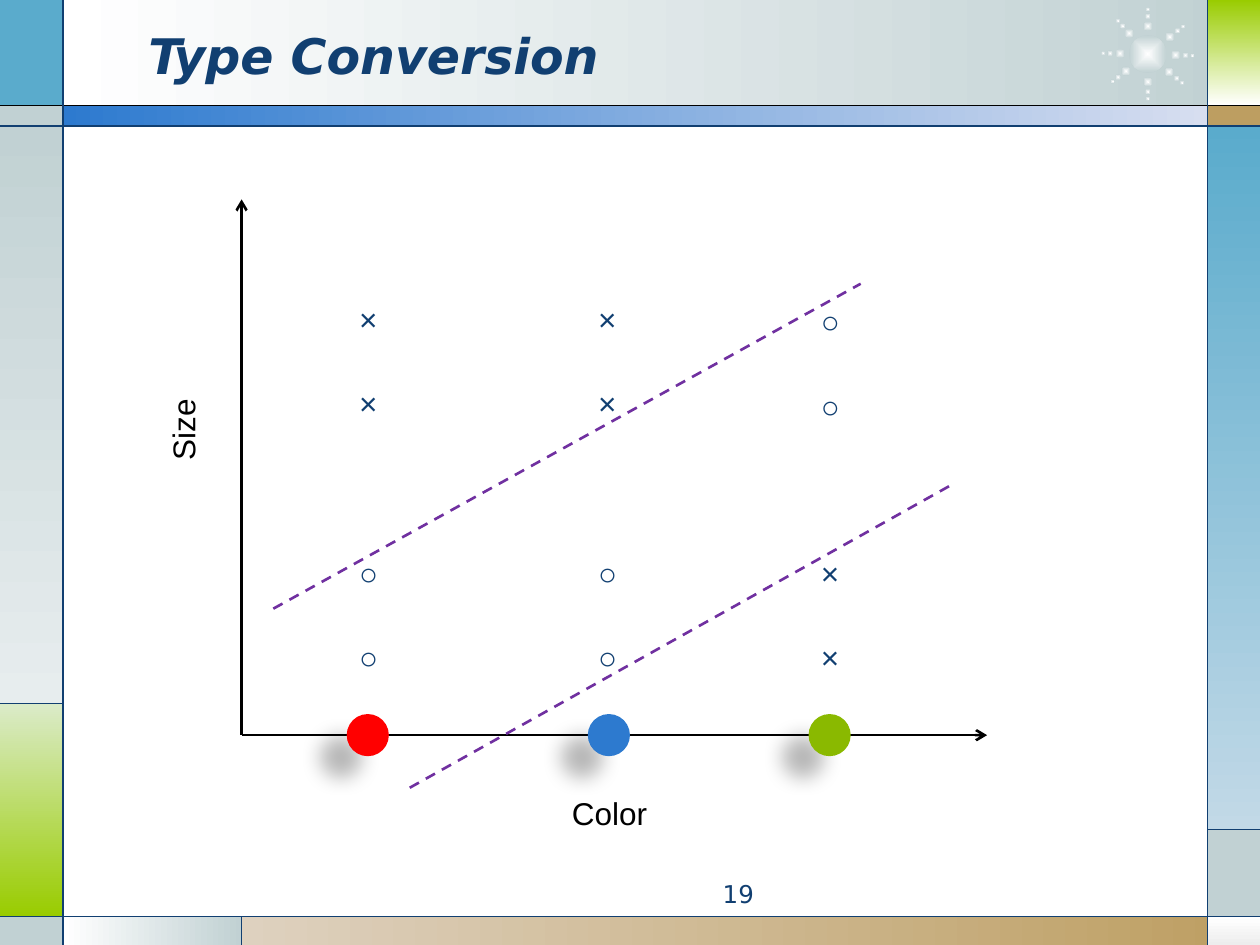
from dataclasses import dataclass
from math import cos, radians, sin

from pptx import Presentation
from pptx.dml.color import RGBColor
from pptx.enum.dml import MSO_LINE
from pptx.enum.shapes import MSO_CONNECTOR, MSO_SHAPE
from pptx.enum.text import MSO_ANCHOR, MSO_AUTO_SIZE, PP_ALIGN
from pptx.oxml import parse_xml
from pptx.oxml.ns import nsdecls, qn
from pptx.util import Cm, Pt

RECT, OVAL = MSO_SHAPE.RECTANGLE, MSO_SHAPE.OVAL
STRAIGHT, DASH = MSO_CONNECTOR.STRAIGHT, MSO_LINE.DASH
RIGHT, MIDDLE, TOP = PP_ALIGN.RIGHT, MSO_ANCHOR.MIDDLE, MSO_ANCHOR.TOP
GROW, FIXED = MSO_AUTO_SIZE.SHAPE_TO_FIT_TEXT, MSO_AUTO_SIZE.NONE

NAVY, BLACK, WHITE = "113F71", "000000", "FFFFFF"
MIST, SKY, LIME, TAN, PURPLE = "C1D1D3", "5AABCC", "99CC00", "BD9E61", "7030A0"
SANS, ARIAL = "DejaVu Sans", "Arial"
ACROSS, DOWN = 0, 270  # gradient angles

# Edges of the frame, in cm
W, H = 25.4, 19.05
X1, X2, X3 = 1.27, 4.87, 24.34
Y1, Y2, Y3, Y4, Y5 = 2.12, 2.54, 14.18, 16.72, 18.47


@dataclass
class Panel:
    x1: float
    y1: float
    x2: float
    y2: float
    color: str
    end_color: str = ""
    angle: int = ACROSS


@dataclass
class Line:
    x1: float
    y1: float
    x2: float
    y2: float
    color: str = NAVY
    width: float = 0.75
    dashed: bool = False
    arrow: bool = False


@dataclass
class Column:
    ball_x: float
    mark_x: float
    color: str
    upper: str
    lower: str
    drop: float = 0


PANELS = [
    Panel(X1, 0, 24.82, Y1, WHITE, MIST),
    Panel(0, 0, X1, Y1, SKY),
    Panel(0, Y1, X1, Y2, MIST),
    Panel(0, Y2, X1, Y3, MIST, "E7EDEE", DOWN),
    Panel(0, Y3, X1, Y5, "DBEBC9", LIME, DOWN),
    Panel(0, Y5, X1, H, MIST),
    Panel(X1, Y5, X2, H, WHITE, MIST),
    Panel(X2, Y5, W, H, "DED1BF", TAN),
    Panel(X3, Y5, W, H, WHITE, "EDEDED", DOWN),
    Panel(X3, Y4, W, Y5, MIST),
    Panel(X3, Y2, W, Y4, SKY, "C2D9E7", DOWN),
    Panel(X3, Y1, W, Y2, TAN),
    Panel(X3, 0, W, Y1, LIME, WHITE, DOWN),
    Panel(X1, Y1, X3, Y2, "2D7ACF", "D7DEF0"),
]
FRAME_LINES = [
    Line(0, Y1, W, Y1, BLACK),
    Line(0, Y2, W, Y2),
    Line(0, Y5, W, Y5),
    Line(X1, 0, X1, H),
    Line(X3, 0, X3, H),
    Line(X1, Y3, 0, Y3),
    Line(X2, Y5, X2, H),
    Line(X3, Y4, W, Y4),
]
AXIS_Y = 14.82
AXES = [
    Line(X2, AXIS_Y, 19.9, AXIS_Y, BLACK, 1.5, arrow=True),
    Line(X2, AXIS_Y, X2, 4.02, BLACK, 1.5, arrow=True),
]
BOUNDARIES = [
    Line(5.51, 12.27, 17.35, 5.72, PURPLE, 1.5, dashed=True),
    Line(8.26, 15.88, 19.26, 9.73, PURPLE, 1.5, dashed=True),
]
COLUMNS = [
    Column(6.99, 6.99, "FF0000", "×", "○"),
    Column(11.85, 11.81, "2D7ACF", "×", "○"),
    Column(16.3, 16.3, "8AB900", "○", "×", 0.05),
]
UPPER_ROWS, LOWER_ROWS = (5.92, 7.62), (11.05, 12.73)
BALL = 0.85

# Star ornament: dots along arms around a core
STAR_X, STAR_Y, CORE = 23.14, 1.09, 0.76
ARMS = (2, 40, 90, 142, 181, 228, 270, 322)
ARM_DOTS = ((0.56, 0.19), (0.76, 0.12), (0.9, 0.09))  # distance, diameter


def rgb(color: str) -> RGBColor:
    return RGBColor.from_string(color)


def add_filled(s, kind, x, y, w, h, color, end_color="", angle=ACROSS):
    sp = s.shapes.add_shape(kind, Cm(x), Cm(y), Cm(w), Cm(h))
    sp.shadow.inherit = False
    sp.line.fill.background()
    if end_color:
        sp.fill.gradient()
        sp.fill.gradient_angle = angle
        for stop, c in zip(sp.fill.gradient_stops, (color, end_color)):
            stop.color.rgb = rgb(c)
    else:
        sp.fill.solid()
        sp.fill.fore_color.rgb = rgb(color)
    return sp


def add_dot(s, x: float, y: float, d: float) -> None:
    sp = add_filled(s, OVAL, x - d / 2, y - d / 2, d, d, WHITE, MIST)
    grad = sp._element.spPr.find(qn("a:gradFill"))
    grad.replace(grad.find(qn("a:lin")), parse_xml(
        f'<a:path {nsdecls("a")} path="shape">'
        '<a:fillToRect l="50000" t="50000" r="50000" b="50000"/></a:path>'))


def add_ball(s, col: Column) -> None:
    sp = add_filled(s, OVAL, col.ball_x, AXIS_Y - BALL / 2, BALL, BALL, col.color)
    sp._element.spPr.find(qn("a:effectLst")).append(parse_xml(
        f'<a:outerShdw {nsdecls("a")} blurRad="{Pt(11.8)}" dist="{Pt(19.7)}" '
        f'dir="{141 * 60000}" algn="ctr" rotWithShape="0"><a:srgbClr val="{BLACK}">'
        '<a:alpha val="28000"/></a:srgbClr></a:outerShdw>'))


def add_line(s, ln: Line) -> None:
    sp = s.shapes.add_connector(STRAIGHT, Cm(ln.x1), Cm(ln.y1), Cm(ln.x2), Cm(ln.y2))
    sp.line.color.rgb = rgb(ln.color)
    sp.line.width = Pt(ln.width)
    if ln.dashed:
        sp.line.dash_style = DASH
    spPr = sp._element.spPr
    if ln.arrow:
        spPr.find(qn("a:ln")).append(
            parse_xml(f'<a:tailEnd {nsdecls("a")} type="arrow"/>'))
    spPr.append(parse_xml(f'<a:effectLst {nsdecls("a")}/>'))


def add_text(s, text, x, y, w, h, size=18, color=BLACK, font=ARIAL, wrap=False, anchor=TOP):
    sp = s.shapes.add_textbox(Cm(x), Cm(y), Cm(w), Cm(h))
    tf = sp.text_frame
    tf.word_wrap = wrap
    tf.auto_size = FIXED if wrap else GROW
    tf.vertical_anchor = anchor
    p = tf.paragraphs[0]
    p.text = text
    p.font.size, p.font.name, p.font.color.rgb = Pt(size), font, rgb(color)
    return sp


def main() -> None:
    prs = Presentation()
    prs.slide_width, prs.slide_height = Cm(W), Cm(H)
    s = prs.slides.add_slide(prs.slide_layouts[6])

    # Frame with star ornament
    for b in PANELS:
        add_filled(s, RECT, b.x1, b.y1, b.x2 - b.x1, b.y2 - b.y1,
                   b.color, b.end_color, b.angle)
    add_dot(s, STAR_X, STAR_Y, CORE)
    for arm in ARMS:
        for dist, d in ARM_DOTS:
            add_dot(s, STAR_X + dist * cos(radians(arm)),
                    STAR_Y + dist * sin(radians(arm)), d)
    for ln in FRAME_LINES:
        add_line(s, ln)

    # Title and page number
    title = add_text(s, "Type Conversion", 2.74, 0.33, 18.62, 1.57, 28, NAVY, SANS, True, MIDDLE)
    font = title.text_frame.paragraphs[0].font
    font.bold = font.italic = True
    number = add_text(s, "19", 9.53, 17.6, 5.92, 0.69, 14, NAVY, SANS, True)
    number.text_frame.paragraphs[0].alignment = RIGHT

    # Plot
    for ln in AXES:
        add_line(s, ln)
    for col in COLUMNS:
        add_ball(s, col)
        for y in UPPER_ROWS:
            add_text(s, col.upper, col.mark_x, y + col.drop, 0.89, 1.02, color=NAVY)
        for y in LOWER_ROWS:
            add_text(s, col.lower, col.mark_x, y, 0.89, 1.02, color=NAVY)
    for ln in BOUNDARIES:
        add_line(s, ln)

    # Axis labels
    size = add_text(s, "Size", 3.18, 8.03, 1.27, 1.5)
    size.rotation = 180
    size.text_frame._txBody.bodyPr.set("vert", "eaVert")
    add_text(s, "Color", 11.28, 15.88, 2.06, 1.02)

    prs.save("out.pptx")


if __name__ == "__main__":
    main()
